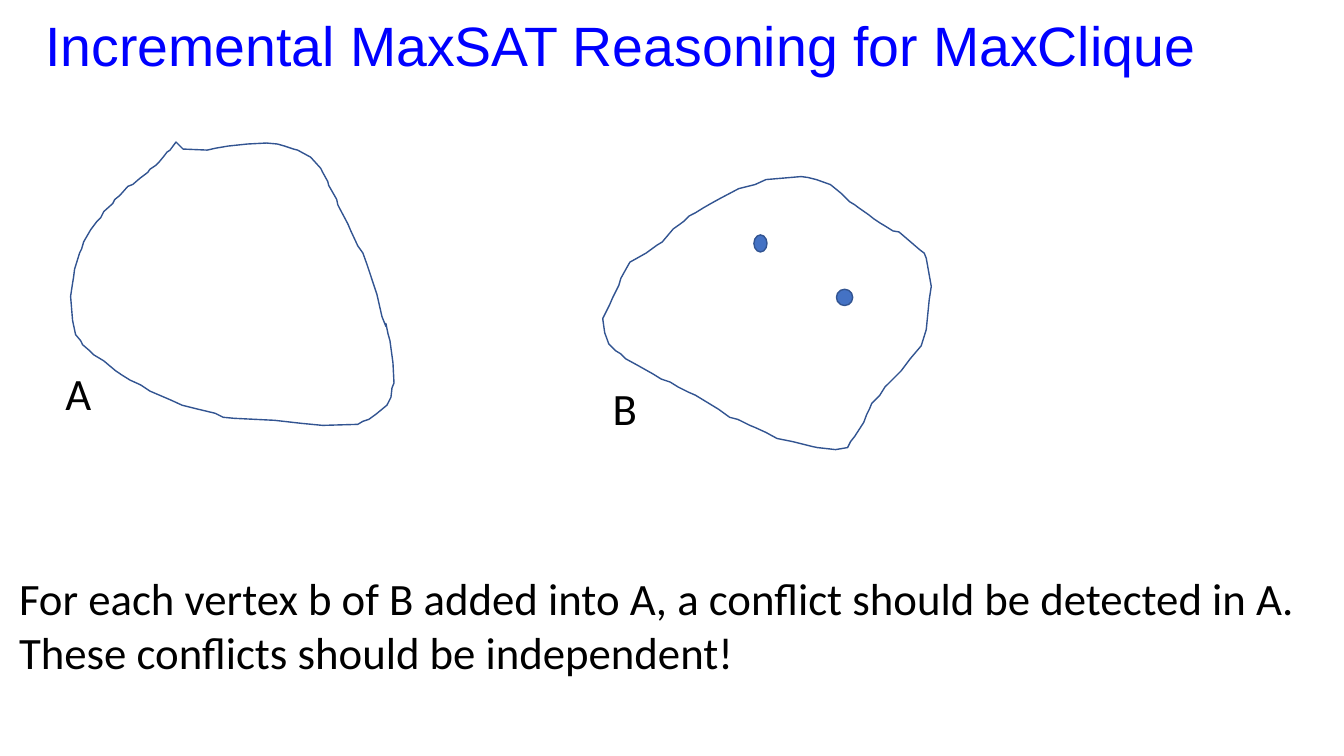
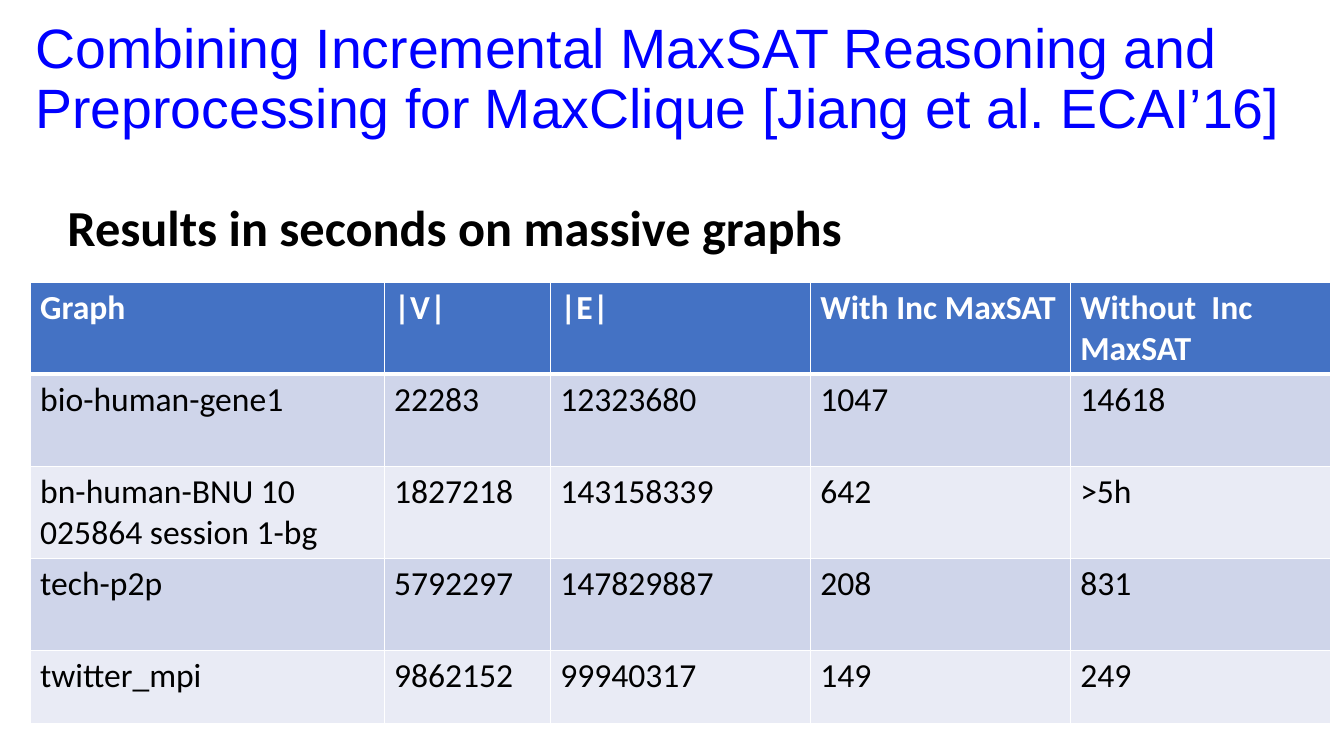
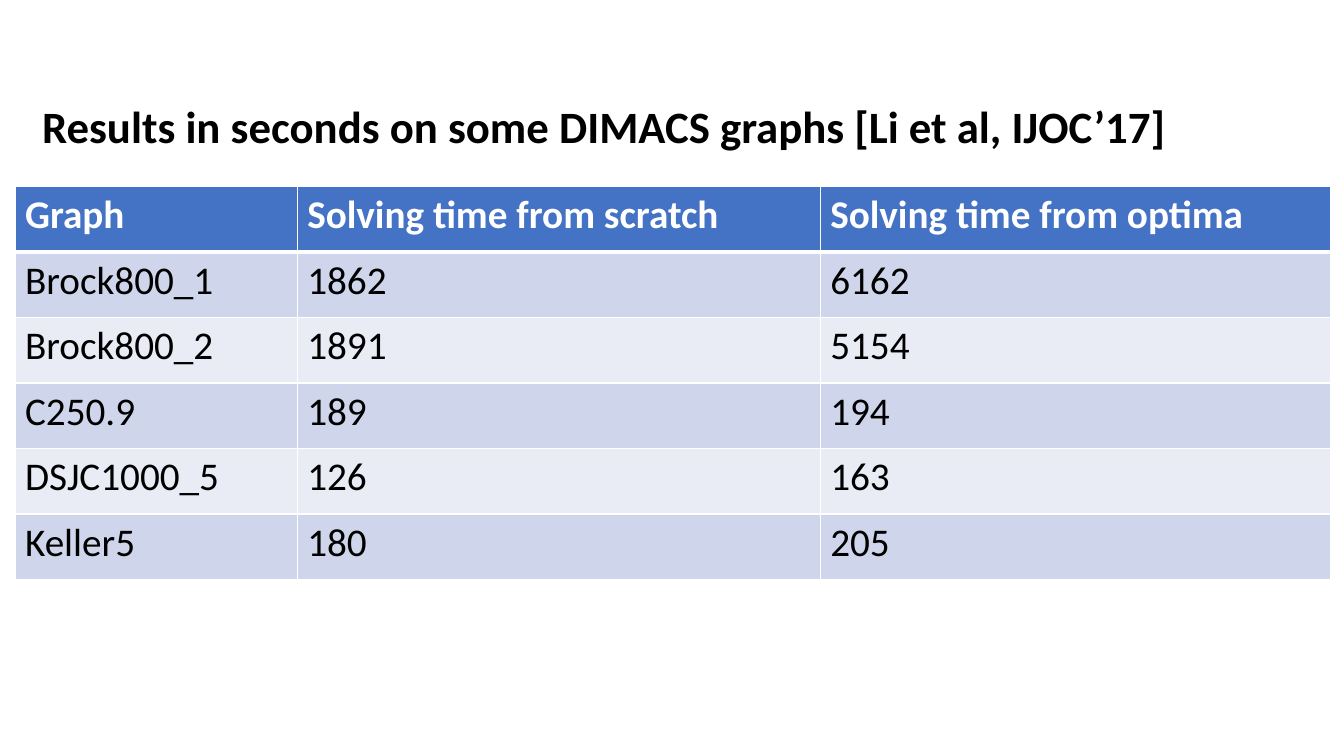
from pptx import Presentation
from pptx.dml.color import RGBColor
from pptx.enum.shapes import MSO_SHAPE
from pptx.enum.text import MSO_ANCHOR, MSO_AUTO_SIZE, PP_ALIGN
from pptx.oxml.ns import qn
from pptx.util import Cm, Pt
from lxml.etree import SubElement

COLORS = {
    "title": "0000FF", "text": "000000", "white": "FFFFFF",
    "accent": "4472C4", "outline": "325491",
    "band_dark": "CFD5EA", "band_light": "E9EBF5",
}
TITLE_FONT, BODY_FONT = "Arial", "Calibri"
TITLE_ONLY, BLANK = 5, 6

# Outline points on a grid that is stretched to the box of the shape
OUTLINE_A = [
    (105, 0), (99, 8), (96, 10), (93, 14), (88, 20), (85, 23), (79, 27),
    (77, 30), (73, 33), (69, 36), (62, 42), (57, 44), (49, 53), (44, 57),
    (42, 61), (33, 69), (30, 75), (26, 79), (20, 87), (13, 99), (11, 106),
    (9, 110), (4, 126), (3, 134), (2, 140), (0, 153), (2, 177), (5, 191),
    (10, 197), (12, 201), (19, 207), (23, 211), (28, 214), (33, 217),
    (45, 227), (51, 231), (59, 236), (70, 241), (79, 247), (100, 256),
    (111, 261), (123, 264), (144, 269), (152, 273), (163, 274), (203, 276),
    (230, 279), (251, 281), (286, 280), (291, 277), (297, 275), (304, 270),
    (315, 261), (319, 253), (320, 244), (322, 239), (321, 219), (318, 197),
    (316, 190), (314, 180), (314, 183), (310, 173), (305, 151), (302, 142),
    (299, 133), (295, 121), (291, 110), (286, 103), (279, 88), (276, 81),
    (268, 66), (266, 62), (265, 57), (257, 43), (256, 39), (251, 30),
    (249, 26), (239, 15), (226, 8), (222, 7), (213, 4), (206, 2), (195, 1),
    (176, 2), (157, 4), (145, 6), (136, 8), (112, 7), (109, 4),
]
OUTLINE_B = [
    (226, 8), (212, 3), (204, 1), (197, 0), (162, 3), (151, 8), (135, 12),
    (116, 22), (107, 27), (100, 31), (92, 36), (86, 39), (81, 44), (77, 47),
    (70, 52), (59, 65), (54, 68), (43, 76), (27, 85), (23, 92), (18, 101),
    (16, 108), (10, 120), (7, 127), (4, 133), (0, 141), (2, 155), (6, 166),
    (13, 173), (18, 176), (23, 181), (34, 187), (50, 196), (58, 201),
    (67, 204), (75, 209), (85, 214), (92, 217), (115, 231), (126, 239),
    (134, 241), (146, 247), (151, 249), (162, 254), (173, 260), (188, 263),
    (208, 268), (213, 269), (231, 271), (243, 269), (246, 263), (250, 258),
    (259, 244), (262, 236), (265, 230), (267, 225), (275, 217), (280, 209),
    (296, 193), (305, 181), (316, 168), (321, 152), (324, 122), (326, 109),
    (321, 81), (319, 76), (315, 73), (294, 55), (288, 54), (280, 49),
    (275, 46), (269, 42), (264, 38), (254, 31), (250, 28), (245, 25),
    (237, 17),
]

MASSIVE_GRAPHS = [
    ["Graph", "|V|", "|E|", "With Inc MaxSAT", "Without  Inc MaxSAT"],
    ["bio-human-gene1", "22283", "12323680", "1047", "14618"],
    ["bn-human-BNU 10\n025864 session 1-bg", "1827218", "143158339", "642",
     ">5h"],
    ["tech-p2p", "5792297", "147829887", "208", "831"],
    ["twitter_mpi", "9862152", "99940317", "149", "249"],
]
DIMACS_GRAPHS = [
    ["Graph", "Solving time from scratch", "Solving time from optima"],
    ["Brock800_1", "1862", "6162"],
    ["Brock800_2", "1891", "5154"],
    ["C250.9", "189", "194"],
    ["DSJC1000_5", "126", "163"],
    ["Keller5", "180", "205"],
]


def rgb(name):
    return RGBColor.from_string(COLORS[name])


def add_run(p, text, size, color="text", bold=False, font=BODY_FONT):
    """Add text to a paragraph, one run per line."""
    for i, line in enumerate(text.split("\n")):
        if i:
            p.add_line_break()
        r = p.add_run()
        r.text = line
        r.font.name, r.font.size, r.font.bold = font, Pt(size), bold
        r.font.color.rgb = rgb(color)


def add_title(s, box, text):
    sp = s.shapes.title
    sp.left, sp.top, sp.width, sp.height = map(Cm, box)
    tf = sp.text_frame
    tf.word_wrap, tf.auto_size = True, MSO_AUTO_SIZE.NONE
    tf.vertical_anchor = MSO_ANCHOR.MIDDLE
    p = tf.paragraphs[0]
    p.alignment, p.line_spacing = PP_ALIGN.LEFT, 0.9
    add_run(p, text, 39.6, "title", font=TITLE_FONT)


def add_text(s, box, lines, size=32, bold=False):
    tf = s.shapes.add_textbox(*map(Cm, box)).text_frame
    tf.word_wrap = True
    for i, line in enumerate(lines):
        p = tf.add_paragraph() if i else tf.paragraphs[0]
        add_run(p, line, size, bold=bold)


def style_line(sp):
    sp.shadow.inherit = False
    sp.line.color.rgb, sp.line.width = rgb("outline"), Pt(1)


def add_vertex_set(s, box, outline, label, label_at, vertices=()):
    """Draw a labelled set; label and vertices are offsets from its box."""
    left, top, width, height = box
    scale = (Cm(width) / max(x for x, y in outline),
             Cm(height) / max(y for x, y in outline))
    builder = s.shapes.build_freeform(*outline[0], scale=scale)
    builder.add_line_segments(outline[1:], close=True)
    sp = builder.convert_to_shape(Cm(left), Cm(top))
    sp.fill.background()
    style_line(sp)
    for dx, dy, w, h in vertices:
        dot = s.shapes.add_shape(MSO_SHAPE.OVAL, Cm(left + dx), Cm(top + dy),
                                 Cm(w), Cm(h))
        dot.fill.solid()
        dot.fill.fore_color.rgb = rgb("accent")
        style_line(dot)
    dx, dy = label_at
    add_text(s, (left + dx, top + dy, 2.26, 1.63), [label])


def set_borders(cell, top, bottom):
    tcPr = cell._tc.get_or_add_tcPr()
    for side, width in (("L", 1), ("R", 1), ("T", top), ("B", bottom)):
        ln = SubElement(tcPr, qn("a:ln" + side), w=str(Pt(width)))
        fill = SubElement(ln, qn("a:solidFill"))
        SubElement(fill, qn("a:srgbClr"), val=COLORS["white"])


def add_results(s, at, cols, heights, rows, size):
    left, top = at
    table = s.shapes.add_table(
        len(rows), len(cols), Cm(left), Cm(top),
        Cm(sum(cols)), Cm(sum(heights))).table
    for col, width in zip(table.columns, cols):
        col.width = Cm(width)
    for i, (row, height) in enumerate(zip(rows, heights)):
        table.rows[i].height = Cm(height)
        header = i == 0
        band = "accent" if header else ("band_light", "band_dark")[i % 2]
        for j, text in enumerate(row):
            cell = table.cell(i, j)
            set_borders(cell, 3 if i == 1 else 1, 3 if header else 1)
            cell.fill.solid()
            cell.fill.fore_color.rgb = rgb(band)
            add_run(cell.text_frame.paragraphs[0], text, size,
                    "white" if header else "text", header)


def incremental_slide(prs):
    s = prs.slides.add_slide(prs.slide_layouts[TITLE_ONLY])
    add_title(s, (0.89, -0.03, 31.67, 2.51),
              "Incremental MaxSAT Reasoning for MaxClique")
    add_vertex_set(s, (1.78, 3.58, 8.15, 7.14), OUTLINE_A, "A", (-0.38, 5.51))
    add_vertex_set(s, (15.19, 4.45, 8.28, 6.88), OUTLINE_B, "B", (0, 5.02),
                   [(3.81, 1.47, 0.33, 0.43), (5.89, 2.84, 0.41, 0.41)])
    add_text(s, (0.23, 14.25, 32.99, 3), [
        "For each vertex b of B added into A, a conflict should be detected"
        " in A.",
        "These conflicts should be independent!"])


def massive_graphs_slide(prs):
    s = prs.slides.add_slide(prs.slide_layouts[TITLE_ONLY])
    add_title(s, (0.64, 0.74, 32.99, 2.59),
              "Combining Incremental MaxSAT Reasoning and Preprocessing for"
              " MaxClique [Jiang et al. ECAI’16]")
    add_results(s, (0.76, 7.11), [8.92, 4.19] + [6.55] * 3,
                [2.32] * 4 + [1.83], MASSIVE_GRAPHS, 24)
    add_text(s, (1.45, 4.83, 29.51, 1.8),
             ["Results in seconds on massive graphs"], 36, True)


def dimacs_slide(prs):
    s = prs.slides.add_slide(prs.slide_layouts[BLANK])
    add_results(s, (0.38, 4.7), [7.11, 13.18, 12.85], [1.65] * 6,
                DIMACS_GRAPHS, 28)
    add_text(s, (0.81, 2.36, 29.11, 1.63),
             ["Results in seconds on some DIMACS graphs [Li et al, IJOC’17]"],
             bold=True)


def main():
    prs = Presentation()
    prs.slide_width, prs.slide_height = Cm(33.87), Cm(19.05)
    incremental_slide(prs)
    massive_graphs_slide(prs)
    dimacs_slide(prs)
    prs.save("out.pptx")


if __name__ == "__main__":
    main()
